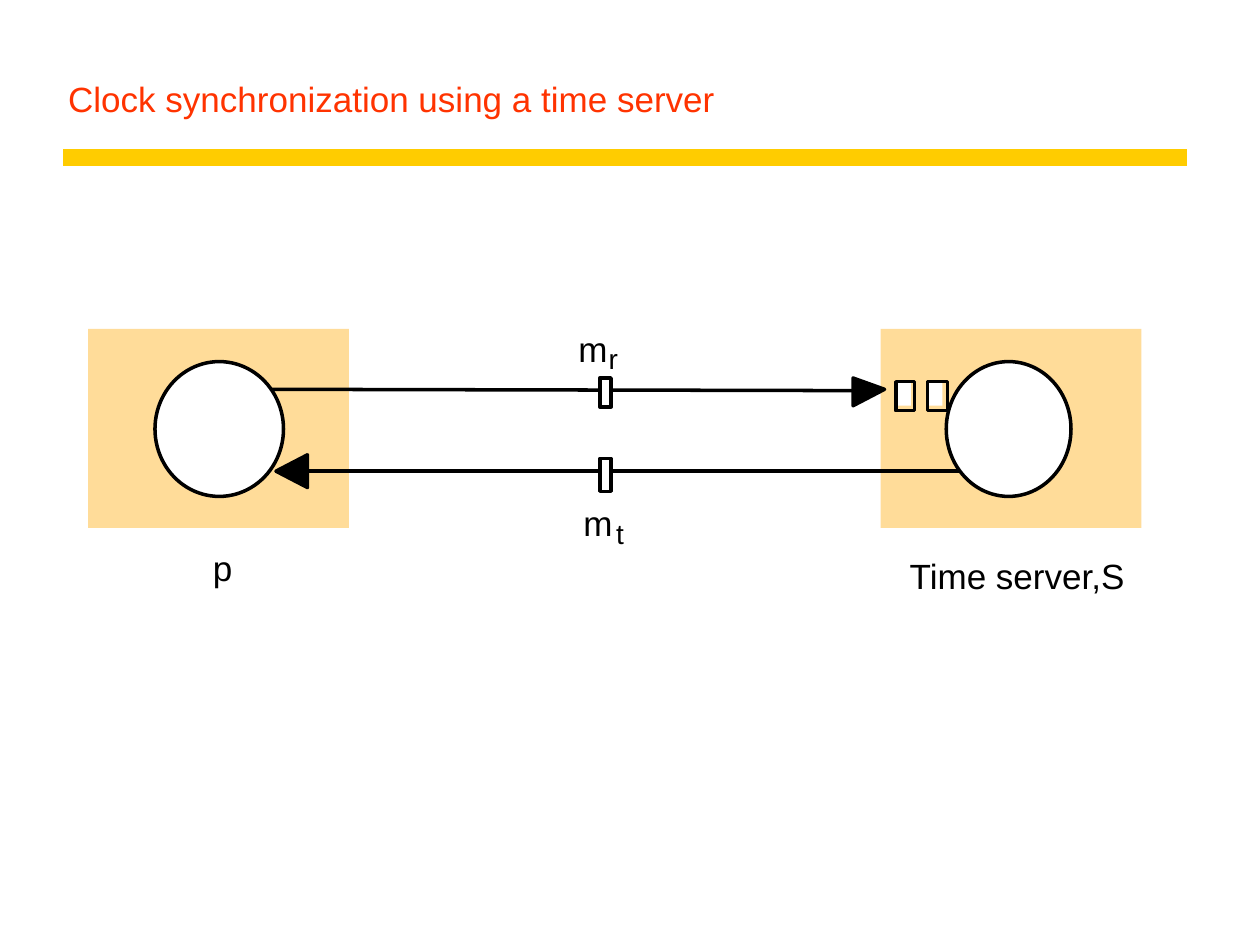
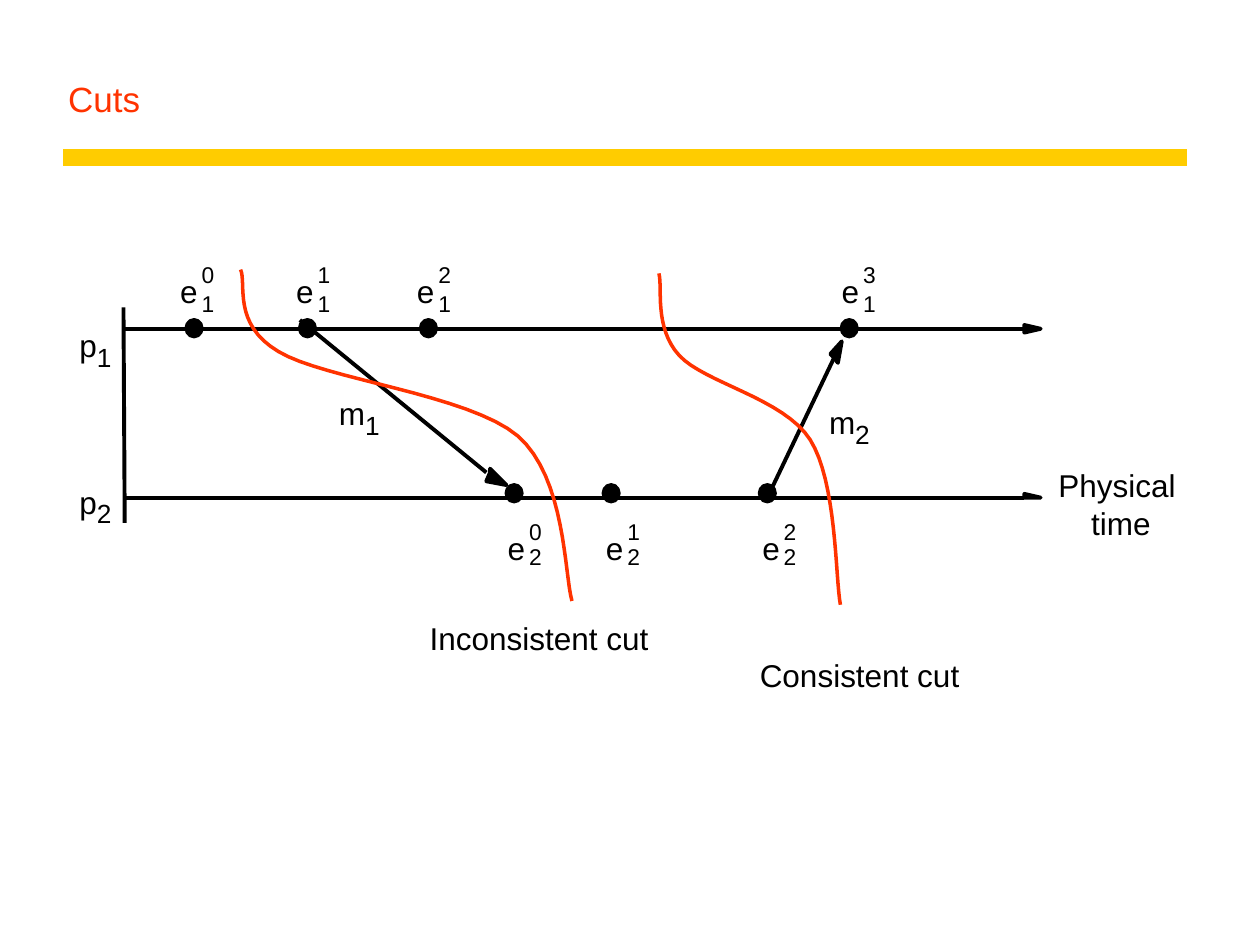
from lxml import etree
from pptx import Presentation
from pptx import util as u
from pptx.dml.color import RGBColor
from pptx.enum import shapes as kinds, text as txt
from pptx.oxml.ns import qn

FONT = "Arial"
BLACK, WHITE, RED, GOLD, TAN = "000000", "FFFFFF", "FF3300", "FFCC00", "FFDC99"
RECT, OVAL = kinds.MSO_SHAPE.RECTANGLE, kinds.MSO_SHAPE.OVAL
WIDTHS = {"m": 0.83, "r": 0.33, "t": 0.28}

HOSTS = [0.7, 6.99]
QUEUE = [(7.11, 0.15), (7.36, 0.16)]
ROUTES = [
    ((2.16, 3.09), (6.77, 3.1), [(7.02, 3.09), (6.77, 3.22), (6.77, 3)]),
    ((7.73, 3.74), (2.44, 3.74), [(2.19, 3.74), (2.44, 3.61), (2.44, 3.87)]),
]
PACKETS = [(3, 0.23), (3.64, 0.26)]
MARKS = [("m", 4.59, 2.6, 20), ("r", 4.83, 2.71, 16),
         ("m", 4.63, 3.98, 20), ("t", 4.89, 4.1, 16), ("p", 1.69, 4.34, 20)]

PATHS = [
    ((0.98, 2.61), (8.13, 2.61), [(8.13, 2.58), (8.26, 2.61), (8.13, 2.64)]),
    ((0.98, 3.95), (8.13, 3.95), [(8.13, 3.92), (8.26, 3.95), (8.13, 3.95)]),
    ((2.38, 2.54), (3.86, 3.75),
     [(3.89, 3.75), (3.89, 3.72), (4.02, 3.85), (3.86, 3.82)]),
    ((6.09, 3.95), (6.62, 2.84),
     [(6.62, 2.84), (6.59, 2.81), (6.68, 2.71), (6.65, 2.88)]),
]
ROWS = [
    {"sub": "1", "dot": 2.54, "tops": (2.16, 2.3, 2.07),
     "events": [(1.48, 1.43), (2.38, 2.35), (3.34, 3.31), (6.68, 6.68)]},
    {"sub": "2", "dot": 3.85, "tops": (4.2, 4.31, 4.11),
     "events": [(4.02, 4.03), (4.79, 4.81), (6.03, 6.05)]},
]
NAMES = [("m", "1", 2.69, 3.13), ("m", "2", 6.58, 3.2),
         ("p", "1", 0.63, 2.59), ("p", "2", 0.63, 3.83)]
NOTES = [("Physical", 8.4, 3.7, 1), ("time", 8.66, 4, 0.52),
         ("Consistent cut", 6.03, 5.21, 1.62),
         ("Inconsistent cut", 3.41, 4.91, 1.77)]
CUTS = [
    [(1.91, 2.14), (1.96, 2.25), (1.84, 2.57), (2.21, 2.79), (2.57, 3.01),
     (3.72, 3.13), (4.11, 3.46), (4.49, 3.79), (4.48, 4.56), (4.54, 4.77)],
    [(5.23, 2.17), (5.26, 2.28), (5.19, 2.6), (5.39, 2.82), (5.59, 3.04),
     (6.22, 3.16), (6.43, 3.49), (6.64, 3.82), (6.63, 4.58), (6.67, 4.8)],
]


def tint(code):
    return RGBColor.from_string(code)


def style(shape, fill=None, line=None, weight=2):
    shape.shadow.inherit = False
    if fill:
        shape.fill.solid()
        shape.fill.fore_color.rgb = tint(fill)
    else:
        shape.fill.background()
    if line:
        shape.line.color.rgb = tint(line)
        shape.line.width = u.Pt(weight)
    else:
        shape.line.fill.background()


def block(slide, kind, x, y, w, h, **look):
    style(slide.shapes.add_shape(kind, *map(u.Inches, (x, y, w, h))), **look)


def trace(slide, points, close=True, **look):
    start, *rest = [(u.Inches(x), u.Inches(y)) for x, y in points]
    pen = slide.shapes.build_freeform(*start)
    pen.add_line_segments(rest, close=close)
    style(pen.convert_to_shape(), **look)


def link(slide, start, end, color=BLACK, weight=2):
    line = slide.shapes.add_connector(
        kinds.MSO_CONNECTOR.STRAIGHT, *map(u.Inches, start + end))
    line.line.color.rgb = tint(color)
    line.line.width = u.Pt(weight)
    etree.SubElement(line.element.spPr, qn("a:effectLst"))


def arrow(slide, start, end, head, weight):
    trace(slide, head, fill=BLACK, line=BLACK, weight=weight)
    link(slide, start, end, weight=weight)


def write(frame, words, size=18, color=BLACK):
    para = frame.paragraphs[0]
    para.text = words
    para.alignment = txt.PP_ALIGN.LEFT
    para.font.size = u.Pt(size)
    para.font.name = FONT
    para.font.color.rgb = tint(color)


def label(slide, words, x, y, size=18, wide=None):
    wide = wide or WIDTHS.get(words, 0.56) * size / 72
    box = slide.shapes.add_textbox(*map(u.Inches, (x, y, wide, size / 60)))
    frame = box.text_frame
    frame.margin_left = frame.margin_right = 0
    frame.margin_top = frame.margin_bottom = 0
    frame.word_wrap = False
    frame.auto_size = txt.MSO_AUTO_SIZE.SHAPE_TO_FIT_TEXT
    write(frame, words, size=size)


def curve(knots, steps=16):
    points = [knots[0]]
    for i in range(0, len(knots) - 1, 3):
        quad = knots[i:i + 4]
        for n in range(1, steps + 1):
            t = n / steps
            parts = ((1 - t) ** 3, 3 * t * (1 - t) ** 2,
                     3 * t * t * (1 - t), t ** 3)
            points.append(tuple(sum(p * k[a] for p, k in zip(parts, quad))
                                for a in (0, 1)))
    return points


def begin(deck, words):
    slide = deck.slides.add_slide(deck.slide_layouts[5])
    link(slide, (0.5, 1.25), (9.42, 1.25), color=GOLD, weight=10)
    title = slide.shapes.title
    title.left, title.top, title.width, title.height = map(
        u.Inches, (0.44, 0.25, 8.97, 0.75))
    frame = title.text_frame
    frame.auto_size = txt.MSO_AUTO_SIZE.NONE
    frame.vertical_anchor = txt.MSO_ANCHOR.BOTTOM
    write(frame, words, size=20, color=RED)
    return slide


def clock(deck):
    slide = begin(deck, "Clock synchronization using a time server")
    for x in HOSTS:
        block(slide, RECT, x, 2.61, 2.07, 1.58, fill=TAN)
    block(slide, OVAL, 1.23, 2.87, 1.02, 1.07, fill=WHITE, line=BLACK)
    for start, end, head in ROUTES:
        arrow(slide, start, end, head, 2)
    for x, wide in QUEUE:
        block(slide, RECT, x, 3.03, 0.12, 0.19, fill=WHITE)
        block(slide, RECT, x, 3.03, wide, 0.23, line=BLACK)
    block(slide, OVAL, 7.51, 2.87, 0.99, 1.07, fill=WHITE, line=BLACK)
    for words, x, y, size in MARKS:
        label(slide, words, x, y, size=size)
    label(slide, "Time server,S", 7.22, 4.4, size=20, wide=1.73)
    for y, high in PACKETS:
        block(slide, RECT, 4.76, y, 0.09, high, fill=WHITE, line=BLACK)


def cuts(deck):
    slide = begin(deck, "Cuts")
    for start, end, head in PATHS:
        arrow(slide, start, end, head, 2.25)
    link(slide, (0.98, 2.44), (0.99, 4.15), weight=2.25)
    for row in ROWS:
        base, low, high = row["tops"]
        for n, (dot, x) in enumerate(row["events"]):
            block(slide, OVAL, dot, row["dot"], 0.12, 0.13,
                  fill=BLACK, line=BLACK, weight=2.25)
            label(slide, "e", x, base)
            label(slide, row["sub"], x + 0.17, low, size=13)
            label(slide, str(n), x + 0.17, high, size=13)
    for name, sub, x, y in NAMES:
        label(slide, name, x, y)
        label(slide, sub, x + WIDTHS.get(name, 0.56) / 4, y + 0.12, size=15)
    for words, x, y, wide in NOTES:
        label(slide, words, x, y, wide=wide)
    for knots in CUTS:
        trace(slide, curve(knots), close=False, line=RED)


def main():
    deck = Presentation()
    deck.slide_width, deck.slide_height = u.Inches(10), u.Inches(7.5)
    clock(deck)
    cuts(deck)
    deck.save("out.pptx")


if __name__ == "__main__":
    main()
